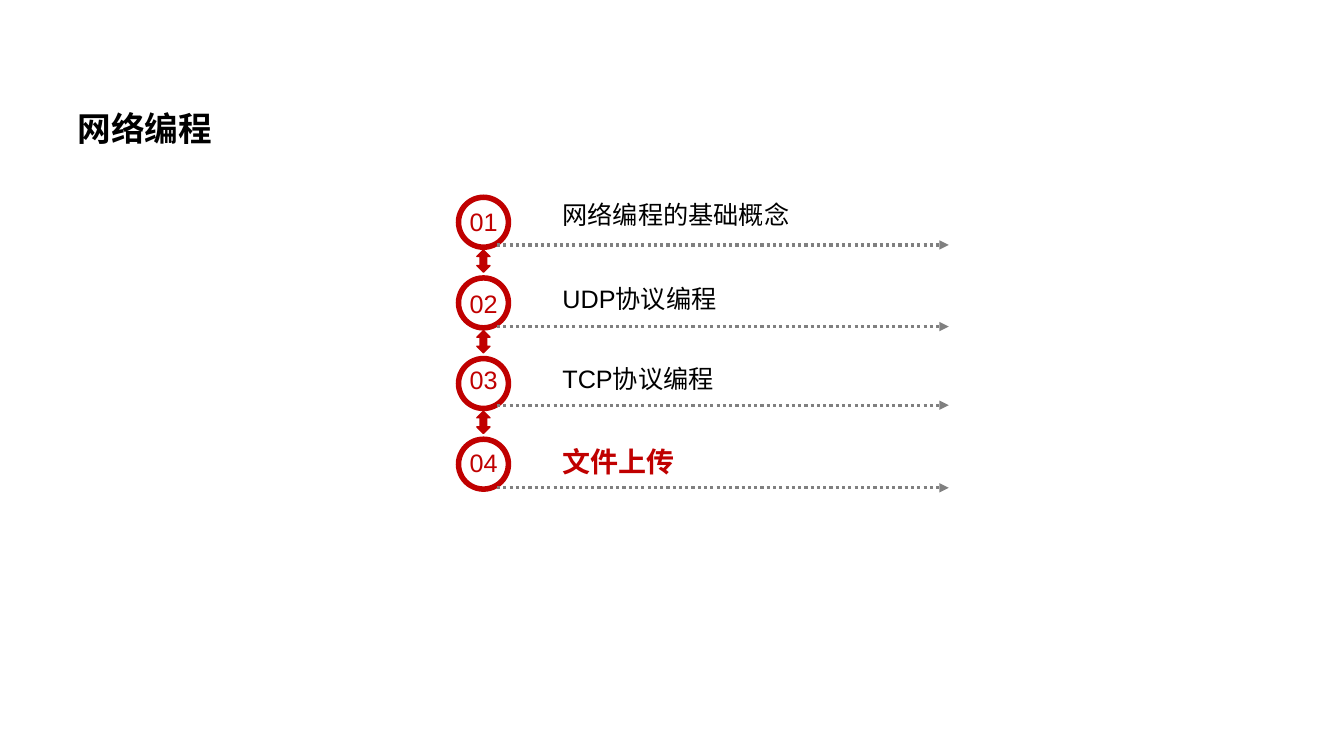
from dataclasses import dataclass

from lxml import etree
from pptx import Presentation
from pptx import util as u
from pptx.dml.color import RGBColor
from pptx.enum import dml, shapes, text
from pptx.oxml.ns import qn
from pptx.shapes.autoshape import Shape
from pptx.shapes.shapetree import SlideShapes

EMU_PER_PX = 9144


@dataclass(frozen=True)
class Theme:
    font: str = "Arial"
    black: RGBColor = RGBColor(0x00, 0x00, 0x00)
    red: RGBColor = RGBColor(0xC0, 0x00, 0x00)
    grey: RGBColor = RGBColor(0x80, 0x80, 0x80)
    title_size: int = 24
    current_size: int = 20
    body_size: int = 18
    rule_width: float = 2.25
    arrow_outline: float = 1


@dataclass(frozen=True)
class Chapter:
    number: str
    label: str
    number_top: int
    label_top: int
    rule_y: int
    current: bool = False


THEME = Theme()
RING_LEFT, RING_TOP, RING_SIZE, RING_PITCH = 452, 193, 55, 80
RING_THICKNESS = 0.1
ARROW_LEFT, ARROW_TOP, ARROW_WIDTH, ARROW_HEIGHT = 473, 248, 13, 22
RULE_START, RULE_END = 493, 941

CHAPTERS = (
    Chapter("01", "网络编程的基础概念", 200, 193, 243),
    Chapter("02", "UDP协议编程", 281, 276, 324),
    Chapter("03", "TCP协议编程", 357, 356, 402),
    Chapter("04", "文件上传", 439, 436, 484, current=True),
)


def px(length: int) -> u.Emu:
    return u.Emu(length * EMU_PER_PX)


def add_text(tree: SlideShapes, wording: str, left: int, top: int, width: int,
             height: int, size: int, color: RGBColor, bold: bool = False,
             wrap: bool = True, spacing: float = 1.0) -> None:
    frame = tree.add_textbox(px(left), px(top), px(width), px(height)).text_frame
    frame.word_wrap = wrap
    frame.vertical_anchor = text.MSO_ANCHOR.TOP
    paragraph = frame.paragraphs[0]
    paragraph.line_spacing = spacing
    run = paragraph.add_run()
    run.text = wording
    run.font.name = THEME.font
    run.font.size = u.Pt(size)
    run.font.bold = bold
    run.font.color.rgb = color


def add_red_shape(tree: SlideShapes, kind: shapes.MSO_SHAPE, left: int,
                  top: int, width: int, height: int) -> Shape:
    shape = tree.add_shape(kind, px(left), px(top), px(width), px(height))
    shape.shadow.inherit = False
    shape.fill.solid()
    shape.fill.fore_color.rgb = THEME.red
    return shape


def add_ring(tree: SlideShapes, top: int) -> None:
    ring = add_red_shape(tree, shapes.MSO_SHAPE.DONUT, RING_LEFT, top,
                         RING_SIZE, RING_SIZE)
    ring.adjustments[0] = RING_THICKNESS
    ring.line.fill.background()


def add_link_arrow(tree: SlideShapes, top: int) -> None:
    arrow = add_red_shape(tree, shapes.MSO_SHAPE.UP_DOWN_ARROW, ARROW_LEFT, top,
                          ARROW_WIDTH, ARROW_HEIGHT)
    arrow.line.color.rgb = THEME.red
    arrow.line.width = u.Pt(THEME.arrow_outline)


def add_rule(tree: SlideShapes, y: int) -> None:
    rule = tree.add_connector(shapes.MSO_CONNECTOR.STRAIGHT, px(RULE_START),
                              px(y), px(RULE_END), px(y))
    rule.line.color.rgb = THEME.grey
    rule.line.width = u.Pt(THEME.rule_width)
    rule.line.dash_style = dml.MSO_LINE.ROUND_DOT
    properties = rule.element.spPr
    etree.SubElement(properties.find(qn("a:ln")), qn("a:tailEnd"), type="triangle")
    etree.SubElement(properties, qn("a:effectLst"))


def add_chapter(tree: SlideShapes, chapter: Chapter) -> None:
    add_text(tree, chapter.number, 456, chapter.number_top, 48, 40,
             THEME.body_size, THEME.red, wrap=False)
    add_rule(tree, chapter.rule_y)
    add_text(tree, chapter.label, 548, chapter.label_top, 396,
             44 if chapter.current else 40,
             THEME.current_size if chapter.current else THEME.body_size,
             THEME.red if chapter.current else THEME.black,
             bold=chapter.current)


def main() -> None:
    deck = Presentation()
    deck.slide_width, deck.slide_height = px(1333), px(750)
    tree = deck.slides.add_slide(deck.slide_layouts[6]).shapes
    add_text(tree, "网络编程", 67, 82, 1174, 111, THEME.title_size,
             THEME.black, bold=True, spacing=1.5)
    for index, chapter in enumerate(CHAPTERS):
        add_ring(tree, RING_TOP + index * RING_PITCH)
        add_chapter(tree, chapter)
    for index in range(len(CHAPTERS) - 1):
        add_link_arrow(tree, ARROW_TOP + index * RING_PITCH)
    deck.save("out.pptx")


if __name__ == "__main__":
    main()
